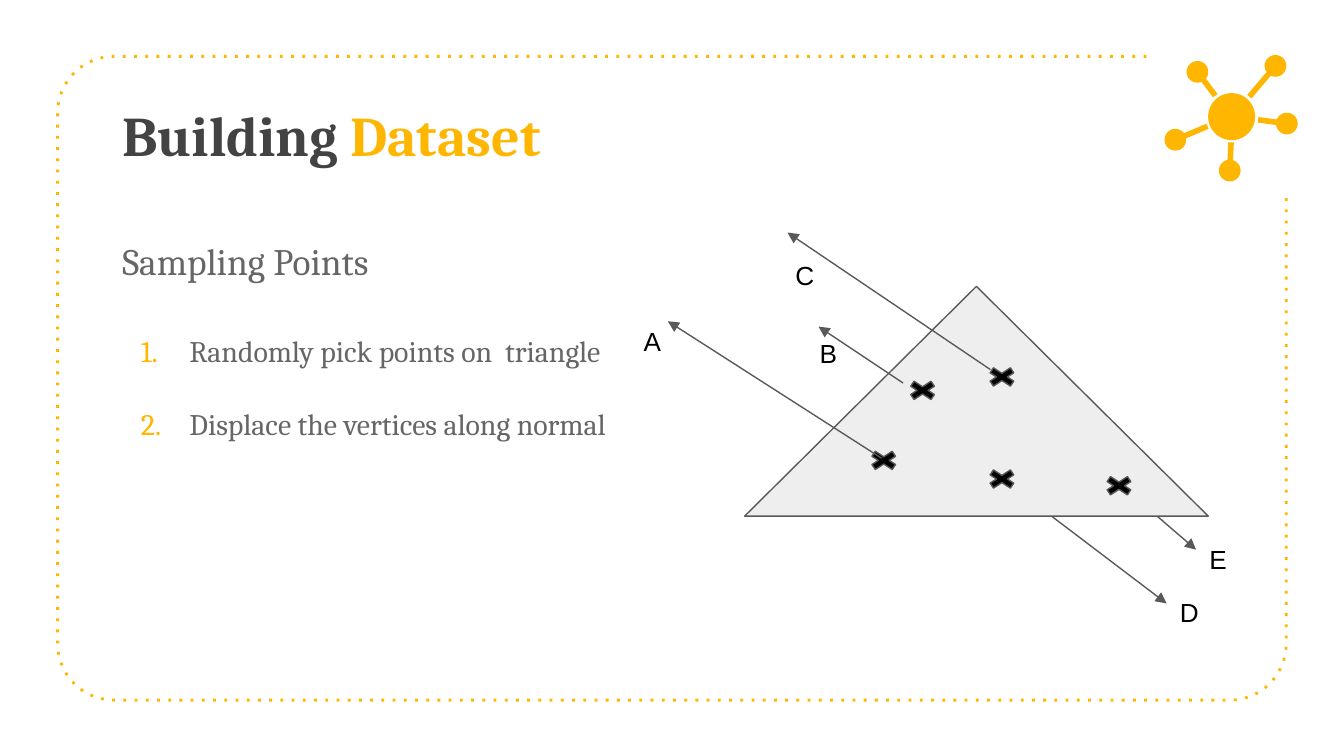
from dataclasses import dataclass
from math import asin, atan2, cos, pi, radians, sin

from lxml.etree import SubElement
from pptx import Presentation
from pptx.dml.color import RGBColor
from pptx.enum.shapes import MSO_CONNECTOR, MSO_SHAPE
from pptx.enum.text import MSO_ANCHOR, MSO_AUTO_SIZE, PP_ALIGN
from pptx.oxml.ns import qn
from pptx.util import Pt


@dataclass(frozen=True)
class Theme:
    accent: RGBColor = RGBColor.from_string("FFB600")
    heading: RGBColor = RGBColor.from_string("434343")
    body: RGBColor = RGBColor.from_string("666666")
    label: RGBColor = RGBColor.from_string("000000")
    outline: RGBColor = RGBColor.from_string("595959")
    surface: RGBColor = RGBColor.from_string("EEEEEE")
    serif: str = "Cambria"
    sans: str = "Arial"
    title_size: int = 30
    subtitle_size: int = 20
    item_size: int = 16
    label_size: int = 14


theme = Theme()


def add_span(para, text, font, size, color, bold=False):
    span = para.add_run()
    span.text = text
    span.font.name = font
    span.font.size = Pt(size)
    span.font.bold = bold
    span.font.color.rgb = color


def arc_points(center_x, center_y, radius, start, sweep, steps):
    angles = [start + sweep * step / steps for step in range(steps + 1)]
    return [(Pt(center_x + radius * cos(a)), Pt(center_y + radius * sin(a))) for a in angles]


deck = Presentation()
deck.slide_width = Pt(720)
deck.slide_height = Pt(405)
page = deck.slides.add_slide(deck.slide_layouts[1])
title = page.shapes.title
body = page.placeholders[1]

left, top, right, bottom, radius = 30.9, 30.2, 689.1, 375.1, 30.2
corners = [
    (left + radius, top + radius, 270),
    (left + radius, bottom - radius, 180),
    (right - radius, bottom - radius, 90),
]
frame_points = []
for center_x, center_y, start in corners:
    frame_points += arc_points(center_x, center_y, radius, radians(start), -pi / 2, 15)
frame_points.append((Pt(right), Pt(105.1)))
builder = page.shapes.build_freeform(Pt(614.2), Pt(top))
builder.add_line_segments(frame_points, close=False)
frame = builder.convert_to_shape()
frame.shadow.inherit = False
frame.fill.background()
frame.line.color.rgb = theme.accent
frame.line.width = Pt(1.5)
SubElement(frame.element.spPr.find(qn("a:ln")), qn("a:prstDash"), val="dot")

for box, box_top, width, height in ((title, 46.8, 555, 73.4), (body, 120.2, 279.4, 203)):
    box.left, box.top, box.width, box.height = Pt(58.3), Pt(box_top), Pt(width), Pt(height)
    text = box.text_frame
    text.word_wrap = True
    text.auto_size = MSO_AUTO_SIZE.NONE
    text.vertical_anchor = MSO_ANCHOR.TOP
    text.margin_left = text.margin_right = text.margin_top = text.margin_bottom = Pt(7.2)

para = title.text_frame.paragraphs[0]
para.alignment = PP_ALIGN.LEFT
add_span(para, "Building ", theme.serif, theme.title_size, theme.heading, True)
add_span(para, "Dataset", theme.serif, theme.title_size, theme.accent, True)

para = body.text_frame.paragraphs[0]
para.space_before = Pt(6)
properties = para._p.get_or_add_pPr()
properties.set("marL", "0")
properties.set("indent", "0")
SubElement(properties, qn("a:buNone"))
add_span(para, "Sampling Points", theme.serif, theme.subtitle_size, theme.body)

items = [("Randomly pick points on  triangle", 27), ("Displace the vertices along normal", 19.5)]
for item, gap in items:
    para = body.text_frame.add_paragraph()
    para.space_before = Pt(gap)
    properties = para._p.get_or_add_pPr()
    properties.set("marL", str(Pt(36)))
    properties.set("indent", str(Pt(-26)))
    bullet_color = SubElement(properties, qn("a:buClr"))
    SubElement(bullet_color, qn("a:srgbClr"), val=str(theme.accent))
    SubElement(properties, qn("a:buFont"), typeface=theme.serif)
    SubElement(properties, qn("a:buAutoNum"), type="arabicPeriod")
    add_span(para, item, theme.serif, theme.item_size, theme.body)

network = page.shapes.add_group_shape()
ball_radius, stem_width = 5.8, 3
spokes = [
    (683.3, 35.3, 669.3, 51.8),
    (641.5, 38.5, 651.1, 51.3),
    (629.7, 74.9, 646.9, 67.7),
    (658.8, 91.4, 659.5, 76.3),
    (689.4, 66.2, 674, 64.2),
]
network_parts = []
for ball_x, ball_y, stem_x, stem_y in spokes:
    angle = atan2(stem_y - ball_y, stem_x - ball_x)
    opening = asin(stem_width / 2 / ball_radius)
    offset_x, offset_y = -sin(angle) * stem_width / 2, cos(angle) * stem_width / 2
    points = arc_points(ball_x, ball_y, ball_radius, angle + opening, 2 * (pi - opening), 40)
    points.append((Pt(stem_x - offset_x), Pt(stem_y - offset_y)))
    builder = network.shapes.build_freeform(Pt(stem_x + offset_x), Pt(stem_y + offset_y))
    builder.add_line_segments(points)
    network_parts.append(builder.convert_to_shape())
hub = network.shapes.add_shape(MSO_SHAPE.OVAL, Pt(647.2), Pt(49.9), Pt(25.2), Pt(25.2))
for part in network_parts + [hub]:
    part.shadow.inherit = False
    part.fill.solid()
    part.fill.fore_color.rgb = theme.accent
    part.line.fill.background()

arrows = [
    (604.8, 263.5, 640.8, 294.5),
    (541.4, 259.9, 625, 323.3),
    (472.3, 245.5, 357.8, 172.1),
    (483.8, 205.2, 438.5, 175),
    (530.6, 198, 421.9, 124.6),
]
arrow_shapes = []
for arrow in arrows:
    line = page.shapes.add_connector(MSO_CONNECTOR.STRAIGHT, *map(Pt, arrow))
    line.line.color.rgb = theme.outline
    line.line.width = Pt(0.75)
    SubElement(line.element.spPr.find(qn("a:ln")), qn("a:tailEnd"), type="triangle")
    SubElement(line.element.spPr, qn("a:effectLst"))
    arrow_shapes.append(line)

solids = [(MSO_SHAPE.ISOSCELES_TRIANGLE, 398.9, 153.4, 248.4, 123.1, theme.surface)]
samples = [(483.8, 202.3), (589, 253.4), (463, 239.8), (526.3, 195.1), (526.3, 249.8)]
solids += [(MSO_SHAPE.MATH_MULTIPLY, x, y, 20.9, 13.7, theme.label) for x, y in samples]
for preset, x, y, width, height, color in solids:
    solid = page.shapes.add_shape(preset, Pt(x), Pt(y), Pt(width), Pt(height))
    solid.shadow.inherit = False
    solid.fill.solid()
    solid.fill.fore_color.rgb = color
    solid.line.color.rgb = theme.outline
    solid.line.width = Pt(0.75)
    if preset == MSO_SHAPE.MATH_MULTIPLY:
        solid.adjustments[0] = 0.235

for line in arrow_shapes[2:]:
    page.shapes.element.append(line.element)

labels = [("A", 337.7, 167), ("B", 432, 173.5), ("C", 419, 131.8), ("D", 625, 312.5), ("E", 640.8, 283.7)]
for name, x, y in labels:
    label = page.shapes.add_textbox(Pt(x), Pt(y), Pt(26.6), Pt(21.6))
    text = label.text_frame
    text.word_wrap = True
    text.margin_left = text.margin_right = text.margin_top = text.margin_bottom = Pt(7.2)
    add_span(text.paragraphs[0], name, theme.sans, theme.label_size, theme.label)

deck.save("out.pptx")
